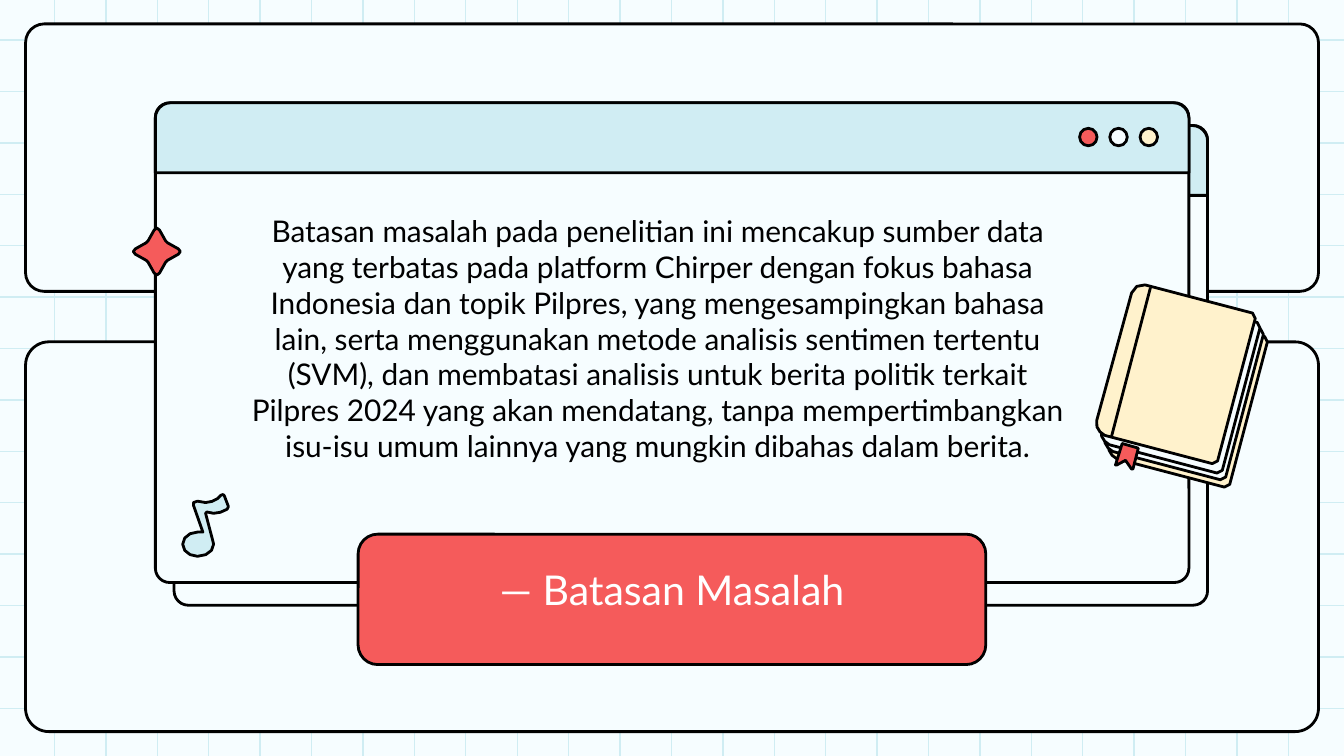
import math

from pptx import Presentation, util as u
from pptx.dml.color import RGBColor
from pptx.enum import shapes, text
from pptx.oxml.ns import qn

ICE = RGBColor(0xF6, 0xFD, 0xFF)
SKY = RGBColor(0xD0, 0xED, 0xF3)
CORAL = RGBColor(0xF5, 0x5B, 0x5B)
CREAM = RGBColor(0xFF, 0xF2, 0xCC)
BLACK = RGBColor(0x00, 0x00, 0x00)
WHITE = RGBColor(0xFF, 0xFF, 0xFF)

COLUMNS, ROWS = 100, 56.25  # square cells of a tenth of an inch
GRID_STEP = 91.8 / 24
CURVE_STEP = 0.6  # longest straight step along a curve

ROUND = shapes.MSO_SHAPE.ROUNDED_RECTANGLE
TOP_ROUND = shapes.MSO_SHAPE.ROUND_2_SAME_RECTANGLE
OVAL = shapes.MSO_SHAPE.OVAL

TITLE = "— Batasan Masalah"
BODY = (
    "Batasan masalah pada penelitian ini mencakup sumber data yang terbatas "
    "pada platform Chirper dengan fokus bahasa Indonesia dan topik Pilpres, "
    "yang mengesampingkan bahasa lain, serta menggunakan metode analisis "
    "sentimen tertentu (SVM), dan membatasi analisis untuk berita politik "
    "terkait Pilpres 2024 yang akan mendatang, tanpa mempertimbangkan isu-isu "
    "umum lainnya yang mungkin dibahas dalam berita."
)

# Outlines: a start point, then lines (x, y) and cubic curves (six numbers).
STAR_CENTRE = (11.67, 18.72)
STAR_QUARTER = [(0.2, -1.6), (0.65, -0.8), (0.8, -0.65), (1.6, -0.2), (1.75, 0)]
NOTE = [
    (16.6, 36.8), (16.45, 36.85),
    (16.3, 37.1, 15.8, 37.4, 15.3, 37.4), (14.7, 37.3), (14.4, 37.4), (14.4, 37.6),
    (15.1, 39.6), (14.7, 39.6),
    (14.1, 39.6, 13.6, 40, 13.6, 40.5), (13.6, 41, 14.1, 41.4, 14.7, 41.4),
    (15.4, 41.4, 15.9, 41, 15.9, 40.5), (15.8, 40.1), (15.3, 38.2), (15.4, 38.1),
    (15.9, 38.2), (16.2, 38.2, 16.6, 38.1, 16.9, 37.9), (17, 37.7), (16.7, 36.9),
]
BOOK_COVER = [
    (85.2, 21.2), (84.8, 21.1, 84.3, 21.4, 84.2, 21.8), (81.6, 31.3),
    (81.5, 31.8, 81.8, 32.2, 82.2, 32.4), (90.2, 34.5), (90.6, 34.3),
    (93.4, 23.7), (93.2, 23.3),
]
BOOK_LAYERS = [(0.9, 1.75, CREAM), (0.6, 1.2, ICE), (0.35, 0.7, ICE), (0, 0, CREAM)]
BOOKMARK = [
    (83.5, 33), (83, 34.6), (83.1, 34.6), (83.75, 34.25), (84.2, 34.9),
    (84.3, 34.9), (84.7, 33.35),
]


def shifted(outline, right, down):
    return [tuple(value + (down if index % 2 else right)
                  for index, value in enumerate(segment)) for segment in outline]


def star_outline():
    outline, quarter = [(0, -1.75)], STAR_QUARTER
    for _ in range(4):
        outline = outline + quarter
        quarter = [(-y, x) for x, y in quarter]
    return shifted(outline[:-1], *STAR_CENTRE)


def flattened(outline):
    """Turn every cubic curve into a few straight steps."""
    points = [outline[0]]
    for segment in outline[1:]:
        controls = [points[-1], segment[:2], segment[2:4], segment[4:]]
        if len(segment) == 2:
            points.append(segment)
            continue
        steps = math.ceil(math.dist(controls[0], controls[3]) / CURVE_STEP)
        for step in range(1, steps + 1):
            t = step / steps
            weights = ((1 - t) ** 3, 3 * t * (1 - t) ** 2, 3 * t * t * (1 - t), t ** 3)
            points.append(tuple(sum(weight * control[axis]
                                    for weight, control in zip(weights, controls))
                                for axis in (0, 1)))
    return points


class Canvas:
    """Style and current slide; every length is in cells of the grid."""
    font = "Lato"
    outline_width = u.Pt(1.5)
    grid_width = u.Pt(0.75)

    def __init__(self, presentation):
        self.cell = presentation.slide_width / COLUMNS
        self.slide = presentation.slides.add_slide(presentation.slide_layouts[6])
        self.slide.background.fill.solid()
        self.slide.background.fill.fore_color.rgb = ICE

    def cells(self, *lengths):
        return [round(length * self.cell) for length in lengths]

    def paint(self, shape, fill):
        shape.shadow.inherit = False
        shape.fill.solid()
        shape.fill.fore_color.rgb = fill
        shape.line.color.rgb = BLACK
        shape.line.width = self.outline_width

    def box(self, kind, place, fill, *adjustments):
        shape = self.slide.shapes.add_shape(kind, *self.cells(*place))
        for index, value in enumerate(adjustments):
            shape.adjustments[index] = value
        self.paint(shape, fill)

    def line(self, start, end, color, width):
        connector = self.slide.shapes.add_connector(
            shapes.MSO_CONNECTOR.STRAIGHT, *self.cells(*start, *end))
        connector.line.color.rgb = color
        connector.line.width = width
        properties = connector._element.spPr
        properties.append(properties.makeelement(qn("a:effectLst"), {}))

    def drawing(self, outline, fill):
        points = [self.cells(*point) for point in flattened(outline)]
        builder = self.slide.shapes.build_freeform(*points[0], scale=1.0)
        builder.add_line_segments(points[1:], close=True)
        self.paint(builder.convert_to_shape(), fill)

    def label(self, place, wording, size, color):
        frame = self.slide.shapes.add_textbox(*self.cells(*place)).text_frame
        frame.word_wrap = True
        frame.margin_left = frame.margin_right = u.Inches(0.1)
        frame.margin_top = frame.margin_bottom = u.Inches(0.1)
        paragraph = frame.paragraphs[0]
        paragraph.alignment = text.PP_ALIGN.CENTER
        run = paragraph.add_run()
        run.text = wording
        run.font.name = self.font
        run.font.size = u.Pt(size)
        run.font.color.rgb = color

    def grid(self):
        for index in range(25):
            x = 4.06 + index * GRID_STEP
            self.line((x, 0), (x, ROWS), SKY, self.grid_width)
        for index in range(14):
            y = 2.98 + index * GRID_STEP
            self.line((0, y), (COLUMNS, y), SKY, self.grid_width)

    def window(self, left, top):
        self.box(ROUND, (left, top, 76.9, 35.7), ICE, 0.03)
        self.box(TOP_ROUND, (left, top, 76.9, 5.2), SKY, 0.22, 0)

    def book(self):
        for right, down, fill in BOOK_LAYERS:
            self.drawing(shifted(BOOK_COVER, right, down), fill)
        self.line((85.6, 21.4), (82.7, 32.5), BLACK, self.outline_width)
        self.drawing(BOOKMARK, CORAL)


def main():
    presentation = Presentation()
    presentation.slide_width = u.Inches(COLUMNS / 10)
    presentation.slide_height = u.Inches(ROWS / 10)
    canvas = Canvas(presentation)

    canvas.grid()
    canvas.box(ROUND, (1.9, 25.44, 96.2, 29), ICE, 0.06)
    canvas.box(ROUND, (1.9, 1.78, 96.2, 19.9), ICE, 0.07)
    canvas.window(12.95, 9.34)
    canvas.window(11.56, 7.65)
    for index, fill in enumerate((CORAL, ICE, CREAM)):
        canvas.box(OVAL, (80.33 + index * 2.25, 9.55, 1.3, 1.3), fill)

    canvas.box(ROUND, (26.65, 39.75, 46.7, 9.7), CORAL, 0.15)
    canvas.label((29.8, 41, 40.4, 5.8), TITLE, 22, WHITE)
    canvas.label((17, 14.83, 63.9, 21.3), BODY, 16, BLACK)
    canvas.drawing(star_outline(), CORAL)
    canvas.drawing(NOTE, SKY)
    canvas.book()
    presentation.save("out.pptx")


if __name__ == "__main__":
    main()
